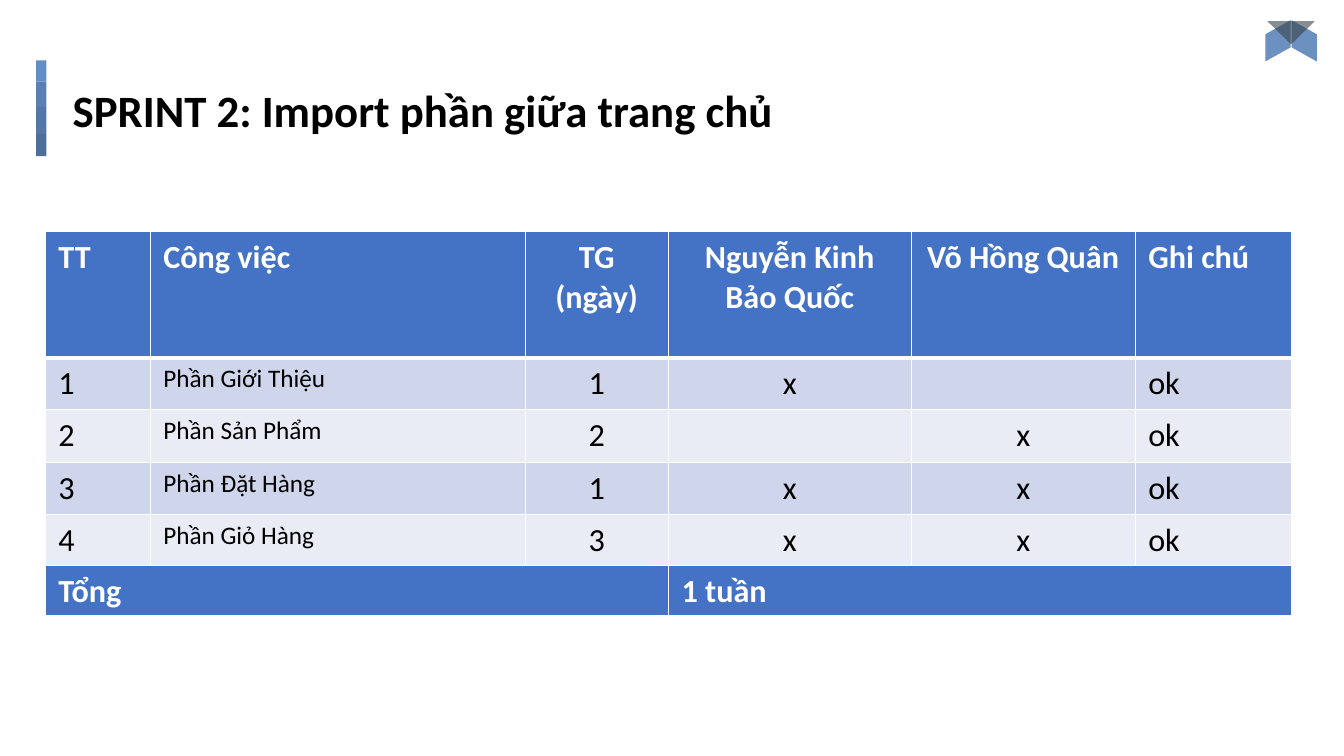
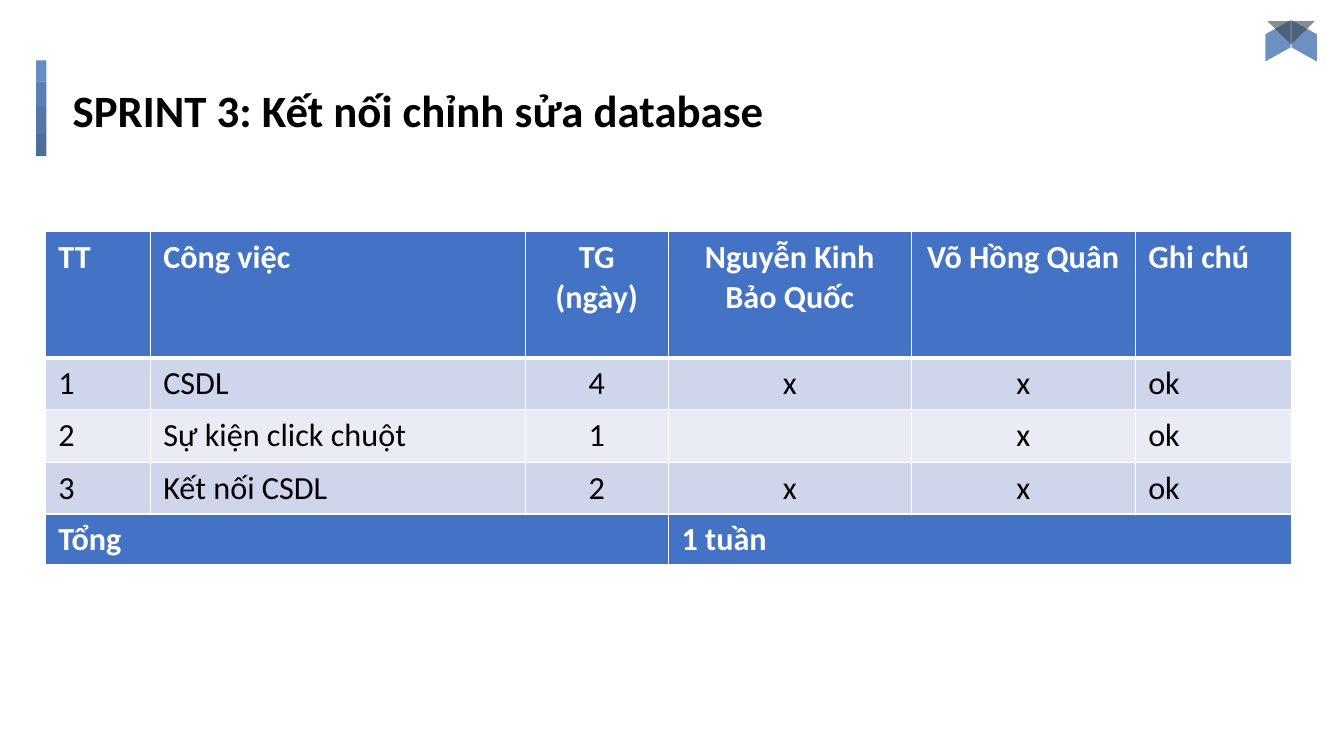
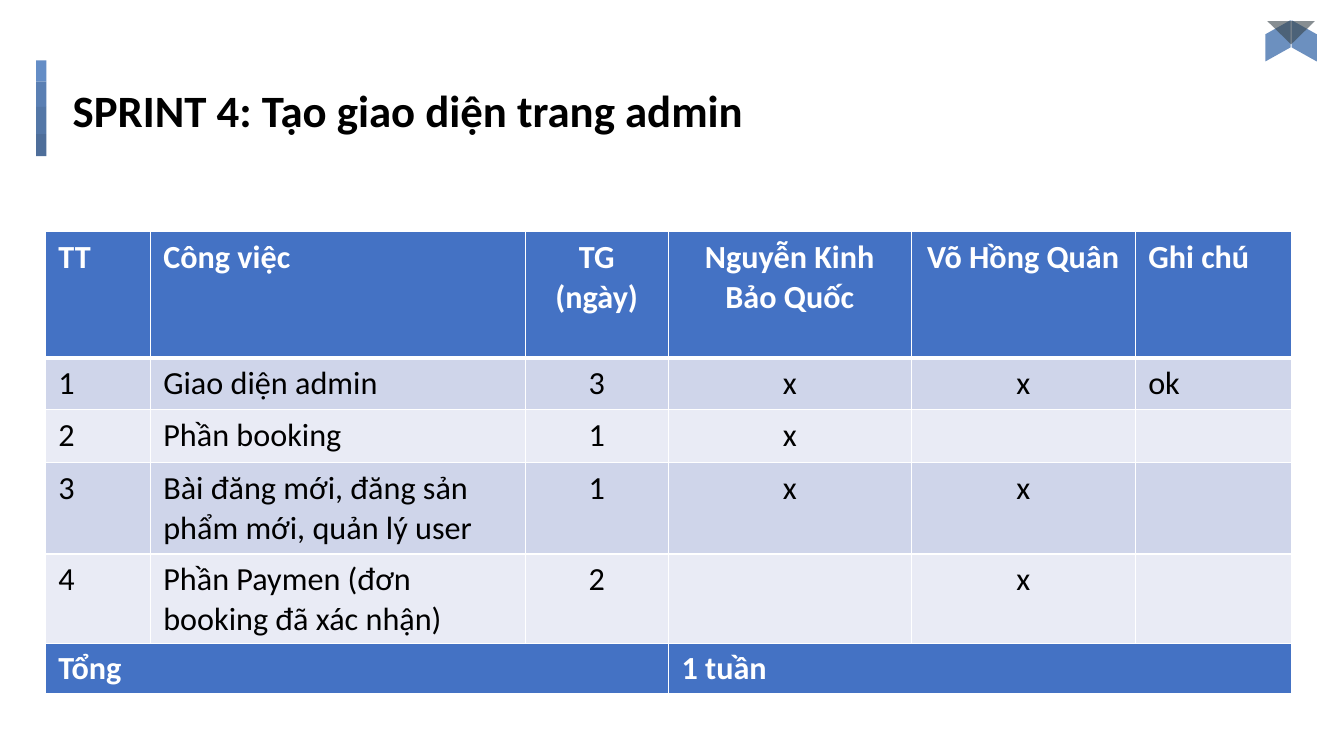
from pptx import Presentation
from pptx.dml.color import RGBColor
from pptx.enum.shapes import MSO_SHAPE as SHAPE
from pptx.enum.text import MSO_ANCHOR as ANCHOR, MSO_AUTO_SIZE as AUTO, PP_ALIGN as ALIGN
from pptx.oxml.ns import qn
from pptx.util import Inches, Pt
from lxml.etree import SubElement

WHITE = RGBColor(0xFF, 0xFF, 0xFF)
BLACK = RGBColor(0x00, 0x00, 0x00)
BLUE = RGBColor(0x44, 0x72, 0xC4)
BANDS = [RGBColor(0xCF, 0xD5, 0xEA), RGBColor(0xE9, 0xEB, 0xF5)]
WING = RGBColor(0x5E, 0x85, 0xB9)
FOLD = RGBColor(0x38, 0x44, 0x4A)
BAR = [
    (0.21, RGBColor(0x64, 0x8D, 0xC6)),
    (0.25, RGBColor(0x5A, 0x7F, 0xB3)),
    (0.27, RGBColor(0x54, 0x77, 0xA7)),
    (0.22, RGBColor(0x4E, 0x6E, 0x9A)),
]

FONT = "Calibri"
INSET = Inches(0.13)
TABLE_LEFT, TABLE_TOP = 0.45, 2.3
COLS = [1.04, 3.72, 1.42, 2.41, 2.22, 1.55]
CENTRED = {2, 3, 4}
HEADER_H, TOTAL_H = 1.25, 0.51
HEADER = ["TT", "Công việc", "TG (ngày)", "Nguyễn Kinh Bảo Quốc", "Võ Hồng Quân", "Ghi chú"]
TOTAL = ["Tổng", "1 tuần"]

SPRINTS = [
    ("SPRINT 2: Import phần giữa trang chủ", 18, [0.51, 0.53, 0.51, 0.51], [
        ["1", "Phần Giới Thiệu", "1", "x", "", "ok"],
        ["2", "Phần Sản Phẩm", "2", "", "x", "ok"],
        ["3", "Phần Đặt Hàng", "1", "x", "x", "ok"],
        ["4", "Phần Giỏ Hàng", "3", "x", "x", "ok"],
    ]),
    ("SPRINT 3: Kết nối chỉnh sửa database", 23, [0.51, 0.53, 0.51], [
        ["1", "CSDL", "4", "x", "x", "ok"],
        ["2", "Sự kiện click chuột", "1", "", "x", "ok"],
        ["3", "Kết nối CSDL", "2", "x", "x", "ok"],
    ]),
    ("SPRINT 4: Tạo giao diện trang admin", 23, [0.51, 0.53, 0.9, 0.89], [
        ["1", "Giao diện admin", "3", "x", "x", "ok"],
        ["2", "Phần booking", "1", "x", "", ""],
        ["3", "Bài đăng mới, đăng sản phẩm mới, quản lý user", "1", "x", "x", ""],
        ["4", "Phần Paymen (đơn booking đã xác nhận)", "2", "", "x", ""],
    ]),
]


def set_font(p, size, color, bold):
    p.font.name = FONT
    p.font.size = Pt(size)
    p.font.bold = bold
    p.font.color.rgb = color


def add_block(slide, kind, box, color, rotation=0, opacity=100):
    s = slide.shapes.add_shape(kind, *map(Inches, box))
    s.shadow.inherit = False
    s.rotation = rotation
    s.line.fill.background()
    s.fill.solid()
    s.fill.fore_color.rgb = color
    if opacity < 100:
        srgb = s.element.spPr.find(".//" + qn("a:srgbClr"))
        SubElement(srgb, qn("a:alpha"), val=str(opacity * 1000))
    return s


def add_title_bar(slide):
    top = 0.6
    for height, color in BAR:
        add_block(slide, SHAPE.RECTANGLE, (0.36, top, 0.1, height), color)
        top += height


def add_ribbon(slide):
    for left, flipped in ((12.73, False), (12.47, True)):
        s = add_block(slide, SHAPE.PARALLELOGRAM, (left, 0.28, 0.41, 0.25), WING, 90, 91)
        s.adjustments[0] = 0.56
        if flipped:
            s.element.spPr.find(qn("a:xfrm")).set("flipH", "1")
    add_block(slide, SHAPE.ISOSCELES_TRIANGLE, (12.57, 0.21, 0.47, 0.23), FOLD, 180, 60)


def set_title(slide, text):
    s = slide.shapes.title
    s.left, s.top, s.width, s.height = map(Inches, (0.59, 0.75, 12.34, 0.61))
    tf = s.text_frame
    tf.text = text
    tf.word_wrap = True
    tf.auto_size = AUTO.NONE
    tf.vertical_anchor = ANCHOR.TOP
    tf.margin_left = tf.margin_right = tf.margin_top = tf.margin_bottom = INSET
    p = tf.paragraphs[0]
    p.alignment = ALIGN.LEFT
    p.line_spacing = 0.9
    set_font(p, 32, BLACK, True)


def set_borders(cell, bottom):
    tc_pr = cell._tc.get_or_add_tcPr()
    for side, width in (("L", 1), ("R", 1), ("T", 1), ("B", bottom)):
        ln = SubElement(tc_pr, qn("a:ln" + side), w=str(Pt(width)))
        fill = SubElement(ln, qn("a:solidFill"))
        SubElement(fill, qn("a:srgbClr"), val=str(WHITE))


def fill_cell(cell, text, fill, size=23, centred=False, heading=False, bottom=1):
    set_borders(cell, bottom)
    cell.fill.solid()
    cell.fill.fore_color.rgb = fill
    cell.margin_left = cell.margin_right = INSET
    cell.margin_top = cell.margin_bottom = Inches(0.06)
    if text:
        cell.text = text
        p = cell.text_frame.paragraphs[0]
        p.alignment = ALIGN.CENTER if centred else ALIGN.LEFT
        set_font(p, size, WHITE if heading else BLACK, heading)


def add_grid(slide, top, cols, rows):
    box = map(Inches, (TABLE_LEFT, top, sum(cols), sum(rows)))
    table = slide.shapes.add_table(len(rows), len(cols), *box).table
    for column, width in zip(table.columns, cols):
        column.width = Inches(width)
    for row, height in zip(table.rows, rows):
        row.height = Inches(height)
    return table


def add_task_table(slide, tasks, heights, task_size):
    table = add_grid(slide, TABLE_TOP, COLS, [HEADER_H] + heights)
    for c, text in enumerate(HEADER):
        fill_cell(table.cell(0, c), text, BLUE, centred=c in CENTRED, heading=True, bottom=3)
    for r, task in enumerate(tasks):
        for c, text in enumerate(task):
            size = task_size if c == 1 else 23
            fill_cell(table.cell(r + 1, c), text, BANDS[r % 2], size, c in CENTRED)


def add_total(slide, top):
    width = sum(COLS) / len(TOTAL)
    table = add_grid(slide, top, [width] * len(TOTAL), [TOTAL_H])
    for c, text in enumerate(TOTAL):
        fill_cell(table.cell(0, c), text, BLUE, heading=True, bottom=3)


def main():
    prs = Presentation()
    prs.slide_width, prs.slide_height = Inches(13.33), Inches(7.5)
    for title, task_size, heights, tasks in SPRINTS:
        slide = prs.slides.add_slide(prs.slide_layouts[5])
        add_title_bar(slide)
        set_title(slide, title)
        add_ribbon(slide)
        add_task_table(slide, tasks, heights, task_size)
        add_total(slide, TABLE_TOP + HEADER_H + sum(heights))
    prs.save("out.pptx")


if __name__ == "__main__":
    main()
